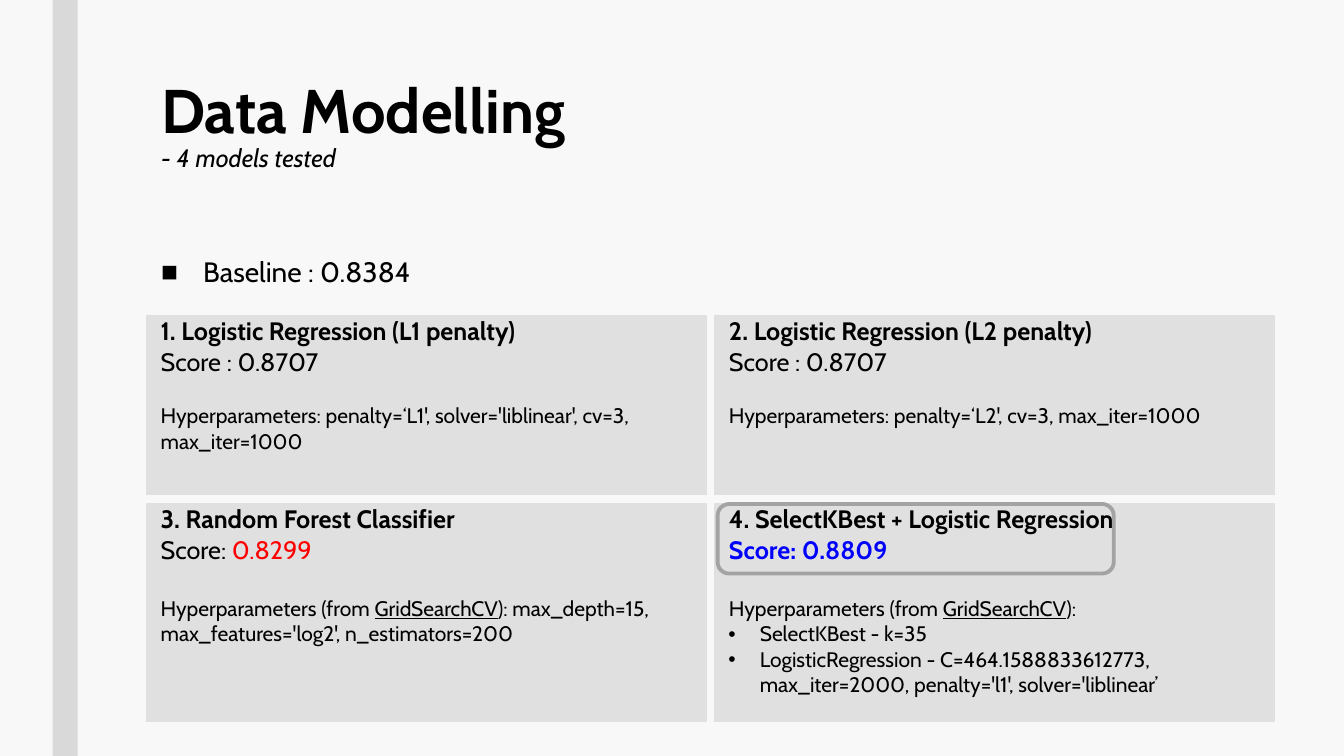
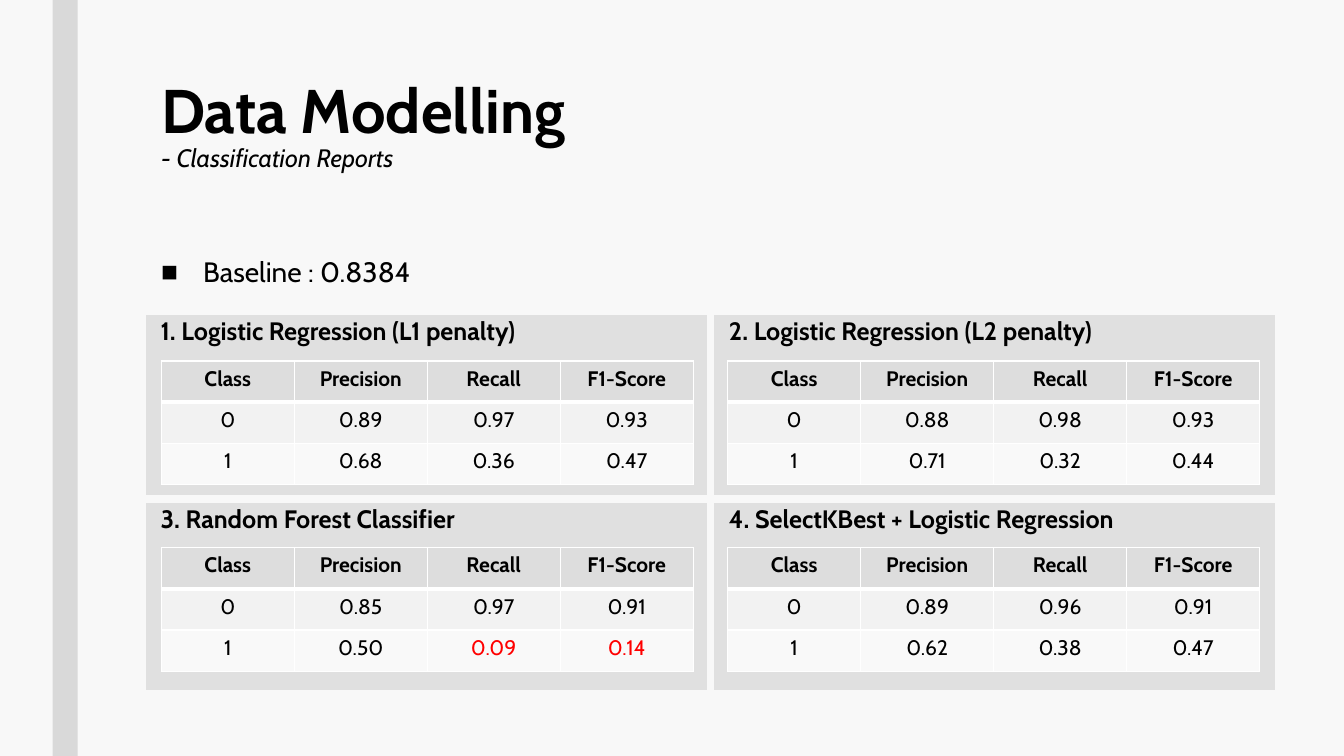
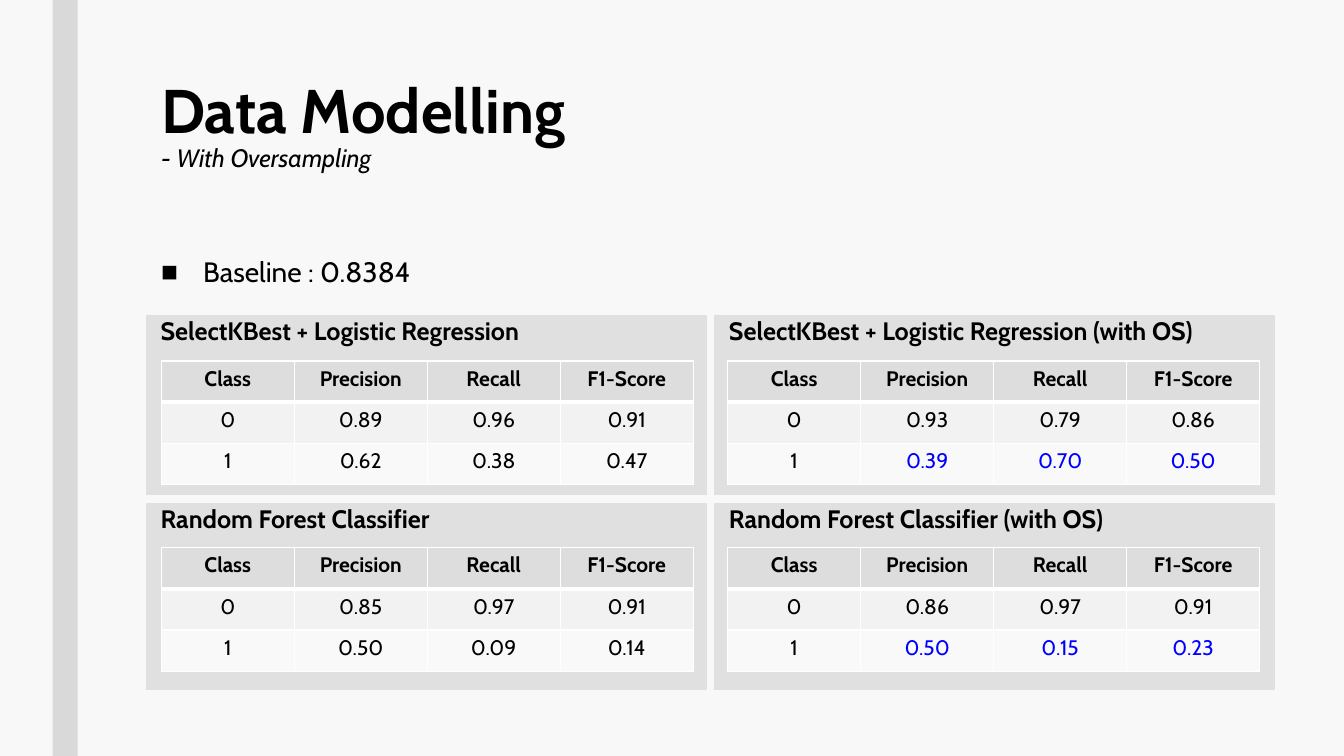
from itertools import product
from typing import NamedTuple

from lxml.etree import SubElement
from pptx import Presentation
from pptx.dml.color import RGBColor
from pptx.enum.shapes import MSO_SHAPE
from pptx.enum.text import PP_ALIGN
from pptx.oxml.ns import qn
from pptx.util import Pt

BLACK, RED, BLUE = "000000", "FF0000", "0000FF"
PANEL_LEFT, PANEL_TOP, PANEL_WIDTH = 101.5, 222.5, 406
PANEL_ROW = 134
REPORT_HEADINGS = ["Class", "Precision", "Recall", "F1-Score"]


class Report(NamedTuple):
    class_0: str
    class_1: str
    accent: str = BLACK
    accent_from: int = 1


def color(value):
    return RGBColor.from_string(value)


class Deck:
    font = "Cabin"
    background = "F8F8F8"
    band = "D9D9D9"
    panel = "E0E0E0"
    grid = "FFFFFF"
    report_fills = ["DDDDDD", "F2F2F2", "F9F9F9"]

    def __init__(self):
        self.presentation = Presentation()
        self.presentation.slide_width = Pt(960)
        self.presentation.slide_height = Pt(540)
        self.slide = None

    def new_slide(self, subtitle):
        self.slide = self.presentation.slides.add_slide(self.presentation.slide_layouts[6])
        fill = self.slide.background.fill
        fill.solid()
        fill.fore_color.rgb = color(self.background)
        self.shape(MSO_SHAPE.RECTANGLE, 37.5, 0, 18, 540, fill=self.band)
        self.title("Data Modelling", subtitle)

    def shape(self, kind, left, top, width, height, fill=None, line=None, weight=1):
        shape = self.slide.shapes.add_shape(kind, Pt(left), Pt(top), Pt(width), Pt(height))
        shape.shadow.inherit = False
        if fill:
            shape.fill.solid()
            shape.fill.fore_color.rgb = color(fill)
        else:
            shape.fill.background()
        if line:
            shape.line.color.rgb = color(line)
            shape.line.width = Pt(weight)
        else:
            shape.line.fill.background()

    def text_box(self, left, top, width, height):
        shape = self.slide.shapes.add_textbox(Pt(left), Pt(top), Pt(width), Pt(height))
        shape.text_frame.word_wrap = True
        return shape.text_frame.paragraphs[0]

    def run(self, paragraph, text, size=18, shade=BLACK, bold=False, italic=False, underline=False):
        run = paragraph.add_run()
        run.text = text
        font = run.font
        font.name, font.size = self.font, Pt(size)
        font.bold, font.italic, font.underline = bold, italic, underline
        font.color.rgb = color(shade)

    def indent(self, paragraph, left, first=0, bullet=None):
        properties = paragraph._p.get_or_add_pPr()
        properties.set("marL", str(Pt(left)))
        properties.set("indent", str(Pt(first)))
        if bullet:
            SubElement(properties, qn("a:buFont"), typeface="Arial")
            SubElement(properties, qn("a:buChar"), char=bullet)

    def title(self, text, subtitle):
        paragraph = self.text_box(108, 54, 756, 116.5)
        paragraph.line_spacing = 0.89
        self.run(paragraph, text, 44, bold=True)
        paragraph.add_line_break()
        self.run(paragraph, subtitle, italic=True)

    def baseline(self):
        paragraph = self.text_box(108, 180, 823.5, 282)
        paragraph.line_spacing = 0.94
        self.indent(paragraph, 30, -30, "■")
        self.run(paragraph, "Baseline : 0.8384", 20)

    def table(self, left, top, columns, rows):
        frame = self.slide.shapes.add_table(
            len(rows), len(columns), Pt(left), Pt(top), Pt(sum(columns)), Pt(sum(rows)))
        table = frame.table
        table.first_row = table.horz_banding = False
        for column, width in zip(table.columns, columns):
            column.width = Pt(width)
        for row, height in zip(table.rows, rows):
            row.height = Pt(height)
        return table

    def style_cell(self, cell, fill, border, weight, **side_weights):
        properties = cell._tc.get_or_add_tcPr()
        for side in "LRTB":
            width = Pt(side_weights.get(side, weight))
            line = SubElement(properties, qn(f"a:ln{side}"), w=str(width))
            SubElement(SubElement(line, qn("a:solidFill")), qn("a:srgbClr"), val=border)
        cell.fill.solid()
        cell.fill.fore_color.rgb = color(fill)

    def panels(self, headings, last_row):
        table = self.table(PANEL_LEFT, PANEL_TOP, [PANEL_WIDTH] * 2, [PANEL_ROW, last_row])
        cells = [table.cell(row, column) for row, column in product(range(2), repeat=2)]
        for cell, heading in zip(cells, headings):
            self.style_cell(cell, self.panel, self.background, 6)
            paragraph = cell.text_frame.paragraphs[0]
            self.indent(paragraph, 6)
            self.run(paragraph, heading, bold=True)
        return cells

    def panel_line(self, cell, *runs, gap=0, bullet=None, **style):
        paragraph = cell.text_frame.add_paragraph()
        paragraph.space_before = Pt(gap)
        self.indent(paragraph, 28 if bullet else 6, -22.5 if bullet else 0, bullet)
        for text, changes in runs:
            self.run(paragraph, text, **{**style, **changes})

    def report(self, left, top, report):
        table = self.table(left, top, [95] * 4, [29.5] * 3)
        rows = [REPORT_HEADINGS, ["0", *report.class_0.split()], ["1", *report.class_1.split()]]
        for row, values in enumerate(rows):
            for column, value in enumerate(values):
                cell = table.cell(row, column)
                above, below = (3 if row == 1 else 1), (3 if row == 0 else 1)
                self.style_cell(cell, self.report_fills[row], self.grid, 1, T=above, B=below)
                paragraph = cell.text_frame.paragraphs[0]
                paragraph.alignment = PP_ALIGN.CENTER
                accented = row == 2 and column >= report.accent_from
                self.run(paragraph, value, 15, report.accent if accented else BLACK, bold=row == 0)

    def report_slide(self, subtitle, reports):
        self.new_slide(subtitle)
        self.panels(reports, 139)
        self.baseline()
        for (row, column), report in zip(product(range(2), repeat=2), reports.values()):
            self.report(115.2 + column * 404.6, 257.8 + row * 133.2, report)


def models_slide(deck):
    deck.new_slide("- 4 models tested")
    models = [
        ("1. Logistic Regression (L1 penalty)", [("Score : 0.8707", {})], 18,
         [("Hyperparameters: penalty=‘L1', solver='liblinear', cv=3, max_iter=1000", {})]),
        ("2. Logistic Regression (L2 penalty)", [("Score : 0.8707", {})], 18,
         [("Hyperparameters: penalty=‘L2', cv=3, max_iter=1000", {})]),
        ("3. Random Forest Classifier", [("Score: ", {}), ("0.8299", {"shade": RED})], 21.6,
         [("Hyperparameters (from ", {}), ("GridSearchCV", {"underline": True}),
          ("): max_depth=15, max_features='log2', n_estimators=200", {})]),
        ("4. SelectKBest + Logistic Regression",
         [("Score: 0.8809", {"shade": BLUE, "bold": True})], 21.6,
         [("Hyperparameters (from ", {}), ("GridSearchCV", {"underline": True}), ("):", {})]),
    ]
    cells = deck.panels([model[0] for model in models], 162)
    for cell, (_, score, gap, parameters) in zip(cells, models):
        deck.panel_line(cell, *score)
        deck.panel_line(cell, *parameters, gap=gap, size=15)
    for text in (
        "SelectKBest - k=35",
        "LogisticRegression - C=464.1588833612773, max_iter=2000, penalty='l1', solver='liblinear’",
    ):
        deck.panel_line(cells[-1], (text, {}), bullet="•", size=15)
    deck.baseline()
    deck.shape(MSO_SHAPE.ROUNDED_RECTANGLE, 512.6, 360, 283, 49.7, line="A3A3A3", weight=2.75)


def main():
    deck = Deck()
    models_slide(deck)
    forest = Report("0.85 0.97 0.91", "0.50 0.09 0.14")
    select_best = Report("0.89 0.96 0.91", "0.62 0.38 0.47")
    deck.report_slide("- Classification Reports", {
        "1. Logistic Regression (L1 penalty)": Report("0.89 0.97 0.93", "0.68 0.36 0.47"),
        "2. Logistic Regression (L2 penalty)": Report("0.88 0.98 0.93", "0.71 0.32 0.44"),
        "3. Random Forest Classifier": forest._replace(accent=RED, accent_from=2),
        "4. SelectKBest + Logistic Regression": select_best,
    })
    deck.report_slide("- With Oversampling", {
        "SelectKBest + Logistic Regression": select_best,
        "SelectKBest + Logistic Regression (with OS)":
            Report("0.93 0.79 0.86", "0.39 0.70 0.50", BLUE),
        "Random Forest Classifier": forest,
        "Random Forest Classifier (with OS)": Report("0.86 0.97 0.91", "0.50 0.15 0.23", BLUE),
    })
    deck.presentation.save("out.pptx")


if __name__ == "__main__":
    main()
